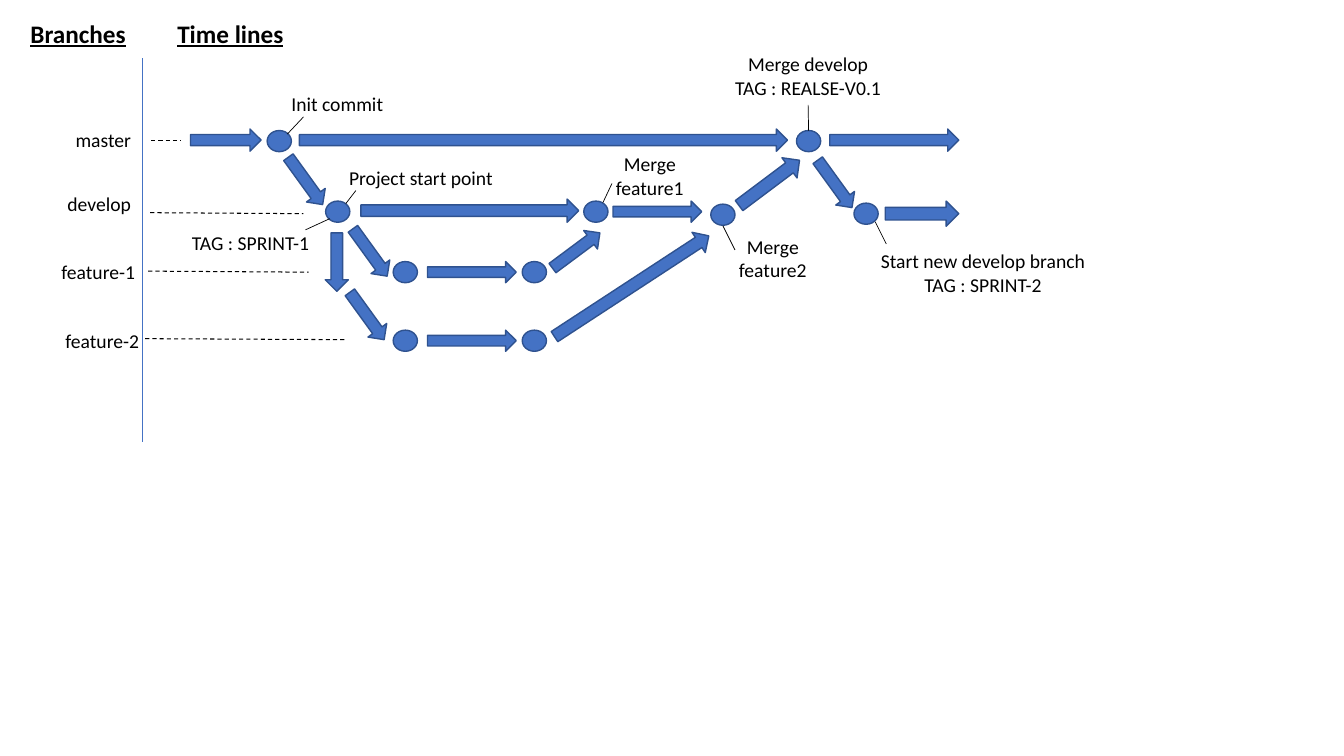
import math
from pptx import Presentation, util as u
from pptx.dml.color import RGBColor
from pptx.enum import dml, shapes, text
from pptx.oxml import parse_xml
from pptx.oxml.ns import nsdecls

PX = 9144
BLUE, EDGE, BLACK = "4472C4", "2F528F", "000000"
NODE_W, NODE_H = 24, 21

COMMITS = {
    "init": (277, 140), "release": (802, 140),
    "start": (335, 210), "merge1": (591, 210), "merge2": (717, 213), "sprint2": (859, 212),
    "feature1_first": (402, 270), "feature1_last": (530, 270),
    "feature2_first": (402, 338), "feature2_last": (530, 338),
}
ARROWS = [
    (189, 139, 259, 139, 22), (297, 139, 781, 139, 22), (823, 139, 951, 139, 22),
    (358, 209, 574, 209, 23), (608, 210, 696, 210, 21), (878, 212, 951, 212, 25),
    (424, 270, 512, 270, 21), (424, 338, 512, 338, 21),
    (286, 156, 320, 203, 23), (350, 227, 384, 274, 23), (334, 231, 334, 289, 23),
    (347, 290, 381, 337, 23), (811, 159, 845, 206, 23),
    (548, 266, 595, 231, 23), (550, 334, 703, 234, 24), (733, 204, 793, 159, 25),
]
BRANCHES = [
    ("master", 25, 122, (150, 139, 180, 139)),
    ("develop", 21, 185, (149, 211, 301, 212)),
    ("feature-1", 20, 253, (147, 269, 306, 270)),
    ("feature-2", 24, 321, (144, 336, 343, 337)),
]
NOTES = [
    ("Init commit", 257, 86, 155, 34),
    ("Project start point", 323, 160, 189, 34),
    ("Merge feature1", 589, 146, 111, 57),
    ("Merge feature2", 712, 228, 109, 57),
    ("Start new develop branch\nTAG : SPRINT-2", 855, 242, 240, 57),
    ("TAG : SPRINT-1", 148, 224, 201, 34),
]
LEADERS = [
    (607, 182, 598, 201), (729, 248, 717, 224), (353, 189, 343, 202),
    (301, 116, 285, 133), (879, 242, 868, 220), (303, 228, 327, 217),
]


def px(n):
    return u.Emu(round(n * PX))


def color(value):
    return RGBColor.from_string(value)


def add_text(s, content, x, y, w, h, size=14, bold=False, underline=False):
    box = s.shapes.add_textbox(px(x), px(y), px(w), px(h))
    tf = box.text_frame
    tf.word_wrap = True
    tf.text = content
    for p in tf.paragraphs:
        p.alignment = text.PP_ALIGN.CENTER
        font = p.runs[0].font
        font.name, font.size = "Calibri", u.Pt(size)
        font.bold, font.underline = bold, underline
        font.color.rgb = color(BLACK)
    return box


def add_blue_shape(s, kind, cx, cy, w, h):
    sp = s.shapes.add_shape(kind, px(cx - w / 2), px(cy - h / 2), px(w), px(h))
    sp.shadow.inherit = False
    sp.fill.solid()
    sp.fill.fore_color.rgb = color(BLUE)
    sp.line.color.rgb = color(EDGE)
    sp.line.width = u.Pt(1)
    return sp


def add_arrow(s, x1, y1, x2, y2, thickness):
    length = math.hypot(x2 - x1, y2 - y1)
    sp = add_blue_shape(s, shapes.MSO_SHAPE.RIGHT_ARROW,
                        (x1 + x2) / 2, (y1 + y2) / 2, length, thickness)
    sp.rotation = math.degrees(math.atan2(y2 - y1, x2 - x1))


def add_line(s, x1, y1, x2, y2, width=0.5, line_color=BLACK, dashed=False):
    line = s.shapes.add_connector(shapes.MSO_CONNECTOR.STRAIGHT,
                                  px(x1), px(y1), px(x2), px(y2))
    line.line.color.rgb = color(line_color)
    line.line.width = u.Pt(width)
    if dashed:
        line.line.dash_style = dml.MSO_LINE.DASH
    line._element.spPr.append(parse_xml(f"<a:effectLst {nsdecls('a')}/>"))
    return line


def main():
    prs = Presentation()
    prs.slide_width, prs.slide_height = px(1333), px(750)
    s = prs.slides.add_slide(prs.slide_layouts[6])

    for arrow in ARROWS:
        add_arrow(s, *arrow)
    commits = {name: add_blue_shape(s, shapes.MSO_SHAPE.OVAL, x, y, NODE_W, NODE_H)
               for name, (x, y) in COMMITS.items()}
    for name, x, y, guide in BRANCHES:
        add_text(s, name, x, y, 155, 34)
        add_line(s, *guide, width=0.75, dashed=True)
    for note in NOTES:
        add_text(s, *note)
    for leader in LEADERS:
        add_line(s, *leader)

    release = add_text(s, "Merge develop\nTAG : REALSE-V0.1", 701, 47, 201, 57)
    link = add_line(s, 802, 104, 802, 129)
    link.begin_connect(release, 2)
    link.end_connect(commits["release"], 0)

    add_line(s, 141, 58, 141, 439, line_color=BLUE)
    for heading, x in (("Branches", 0), ("Time lines", 151)):
        add_text(s, heading, x, 13, 155, 40, size=18, bold=True, underline=True)
    prs.save("out.pptx")


if __name__ == "__main__":
    main()
